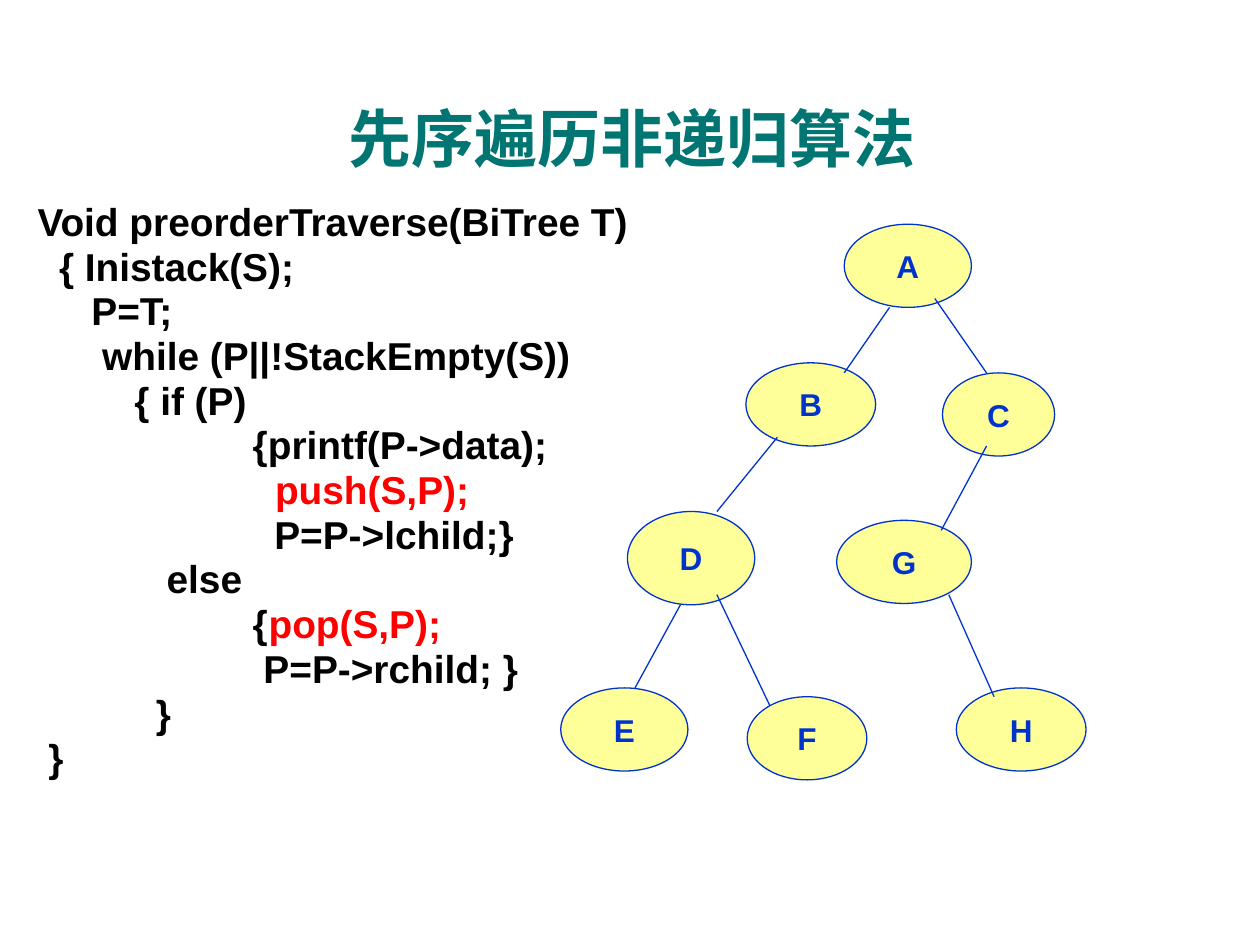
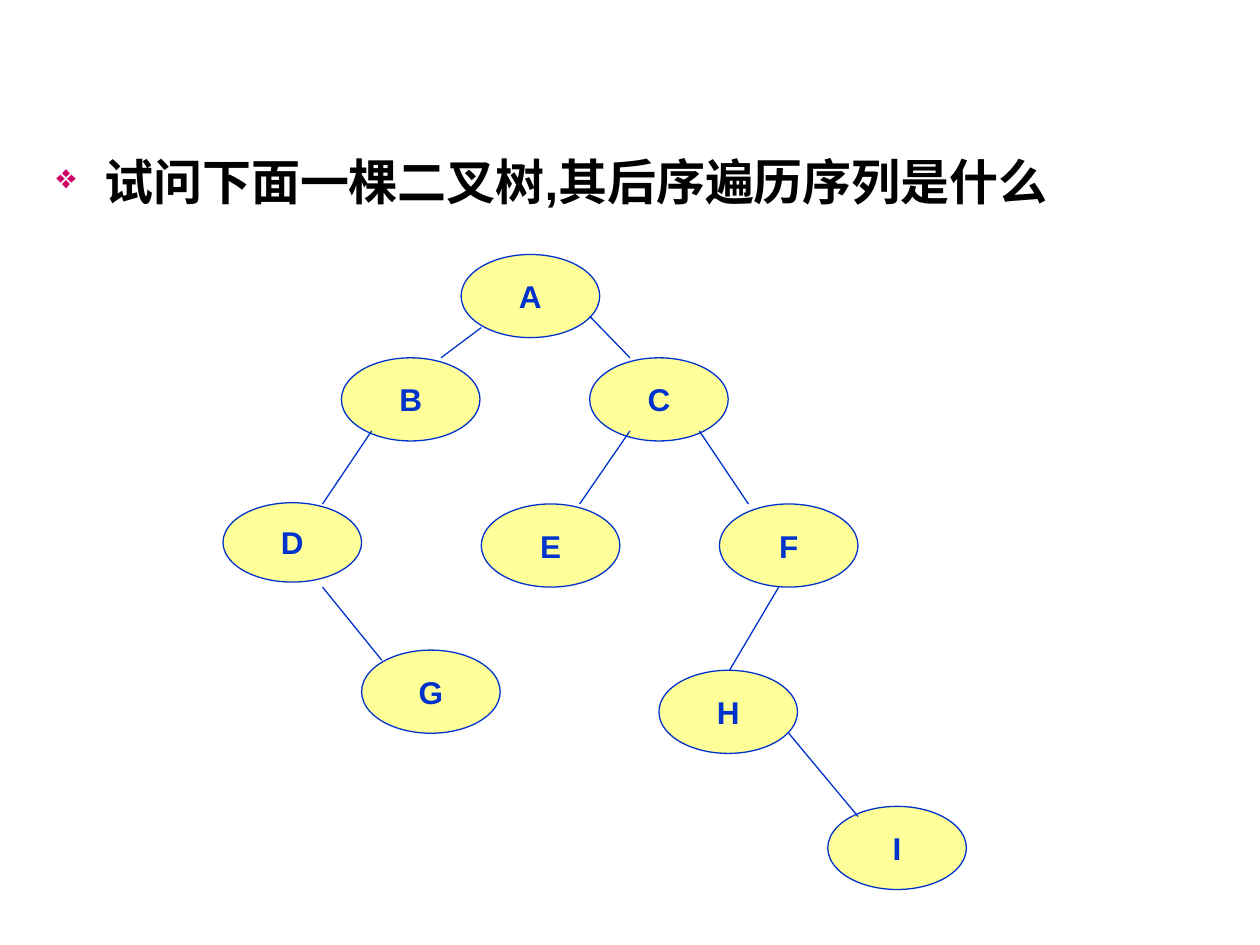
from typing import NamedTuple

import lxml.etree
import pptx
import pptx.dml.color
import pptx.enum.shapes
import pptx.enum.text
import pptx.oxml.ns
import pptx.util

PX = 9144  # EMU per px, 100 px to the inch

TEAL = pptx.dml.color.RGBColor(0x00, 0x75, 0x72)
BLACK = pptx.dml.color.RGBColor(0x00, 0x00, 0x00)
RED = pptx.dml.color.RGBColor(0xFF, 0x00, 0x00)
BLUE = pptx.dml.color.RGBColor(0x00, 0x33, 0xCC)
YELLOW = pptx.dml.color.RGBColor(0xFF, 0xFF, 0x99)
MAGENTA = pptx.dml.color.RGBColor(0xCC, 0x00, 0x66)

FONT = "Arial"
HANGING = 38
LINE_WIDTH = pptx.util.Pt(0.75)


class CodeLine(NamedTuple):
    plain: str
    highlight: str = ""


class Node(NamedTuple):
    label: str
    left: int
    top: int
    width: int = 110
    height: int = 66


class Edge(NamedTuple):
    x1: int
    y1: int
    x2: int
    y2: int


CODE = [
    CodeLine("Void preorderTraverse(BiTree T)"),
    CodeLine("  { Inistack(S);"),
    CodeLine("     P=T;"),
    CodeLine("      while (P||!StackEmpty(S))"),
    CodeLine("         { if (P)"),
    CodeLine("                    {printf(P->data);"),
    CodeLine("                      ", "push(S,P);"),
    CodeLine("                      P=P->lchild;}"),
    CodeLine("            else"),
    CodeLine("                    {", "pop(S,P);"),
    CodeLine("                     P=P->rchild; }"),
    CodeLine("           }"),
    CodeLine(" }"),
]

PREORDER_NODES = [
    Node("B", 592, 288, 103),
    Node("H", 759, 546, 103),
    Node("A", 670, 178, 101),
    Node("C", 748, 296, 89),
    Node("D", 498, 406, 101, 74),
    Node("E", 445, 546, 101),
    Node("F", 593, 553, 95),
    Node("G", 664, 413, 107),
]
PREORDER_EDGES = [
    Edge(706, 244, 670, 296),
    Edge(742, 237, 783, 296),
    Edge(617, 347, 569, 406),
    Edge(783, 354, 747, 421),
    Edge(540, 480, 504, 546),
    Edge(569, 472, 611, 560),
    Edge(753, 472, 789, 553),
]

POSTORDER_NODES = [
    Node("D", 177, 399, height=63),
    Node("A", 366, 202),
    Node("B", 271, 284),
    Node("C", 468, 284),
    Node("G", 287, 516),
    Node("E", 382, 400),
    Node("F", 571, 400),
    Node("H", 523, 532),
    Node("I", 657, 640),
]
POSTORDER_EDGES = [
    Edge(382, 260, 350, 284),
    Edge(295, 342, 256, 400),
    Edge(555, 342, 594, 400),
    Edge(256, 466, 303, 524),
    Edge(468, 251, 500, 284),
    Edge(500, 342, 460, 400),
    Edge(618, 466, 579, 532),
    Edge(626, 582, 681, 648),
]


def write(paragraph, text: str, *, size: float, color=BLACK, centered: bool = False) -> None:
    """Append a bold run to the paragraph."""
    if centered:
        paragraph.alignment = pptx.enum.text.PP_ALIGN.CENTER
    run = paragraph.add_run()
    run.text = text
    run.font.name = FONT
    run.font.size = pptx.util.Pt(size)
    run.font.bold = True
    run.font.color.rgb = color


def add_text_frame(slide, left: int, top: int, width: int, height: int):
    frame = slide.shapes.add_textbox(left * PX, top * PX, width * PX, height * PX).text_frame
    frame.word_wrap = True
    return frame


def hang(paragraph):
    """Give the paragraph a hanging indent and return its properties element."""
    properties = paragraph._p.get_or_add_pPr()
    properties.set("marL", str(HANGING * PX))
    properties.set("indent", str(-HANGING * PX))
    return properties


def add_bullet(paragraph) -> None:
    properties = hang(paragraph)

    def child(parent, tag: str, **attributes: str):
        return lxml.etree.SubElement(parent, pptx.oxml.ns.qn(tag), attributes)

    child(child(properties, "a:buClr"), "a:srgbClr", val=str(MAGENTA))
    child(properties, "a:buSzPct", val="70000")
    child(properties, "a:buChar", char="❖")


def add_title(slide, text: str) -> None:
    frame = add_text_frame(slide, 35, 76, 934, 66)
    frame.vertical_anchor = pptx.enum.text.MSO_ANCHOR.MIDDLE
    write(frame.paragraphs[0], text, size=36, color=TEAL, centered=True)


def add_code(slide, lines: list[CodeLine]) -> None:
    frame = add_text_frame(slide, 20, 162, 543, 475)
    for index, line in enumerate(lines):
        paragraph = frame.add_paragraph() if index else frame.paragraphs[0]
        hang(paragraph)
        paragraph.line_spacing = 0.7
        if index:
            paragraph.space_before = pptx.util.Pt(6.9)
        write(paragraph, line.plain, size=22.2)
        if line.highlight:
            write(paragraph, line.highlight, size=22.2, color=RED)


def add_question(slide, text: str) -> None:
    question = add_text_frame(slide, 35, 115, 914, 559).paragraphs[0]
    add_bullet(question)
    write(question, text, size=28)


def add_node(slide, node: Node) -> None:
    oval = slide.shapes.add_shape(
        pptx.enum.shapes.MSO_SHAPE.OVAL,
        node.left * PX, node.top * PX, node.width * PX, node.height * PX)
    oval.shadow.inherit = False
    oval.fill.solid()
    oval.fill.fore_color.rgb = YELLOW
    oval.line.color.rgb = BLUE
    oval.line.width = LINE_WIDTH
    frame = oval.text_frame
    frame.word_wrap = False
    frame.vertical_anchor = pptx.enum.text.MSO_ANCHOR.MIDDLE
    write(frame.paragraphs[0], node.label, size=18, color=BLUE, centered=True)


def add_edge(slide, edge: Edge) -> None:
    branch = slide.shapes.add_connector(
        pptx.enum.shapes.MSO_CONNECTOR.STRAIGHT, *(length * PX for length in edge))
    branch.line.color.rgb = BLUE
    branch.line.width = LINE_WIDTH
    lxml.etree.SubElement(branch._element.spPr, pptx.oxml.ns.qn("a:effectLst"))


def add_tree(slide, nodes: list[Node], edges: list[Edge]) -> None:
    for node in nodes:
        add_node(slide, node)
    for edge in edges:
        add_edge(slide, edge)


def main() -> None:
    deck = pptx.Presentation()
    deck.slide_width = 1000 * PX
    deck.slide_height = 750 * PX
    blank = deck.slide_layouts[6]

    preorder = deck.slides.add_slide(blank)
    add_title(preorder, "先序遍历非递归算法")
    add_code(preorder, CODE)
    add_tree(preorder, PREORDER_NODES, PREORDER_EDGES)

    postorder = deck.slides.add_slide(blank)
    add_question(postorder, "试问下面一棵二叉树,其后序遍历序列是什么")
    add_tree(postorder, POSTORDER_NODES, POSTORDER_EDGES)

    deck.save("out.pptx")


if __name__ == "__main__":
    main()
